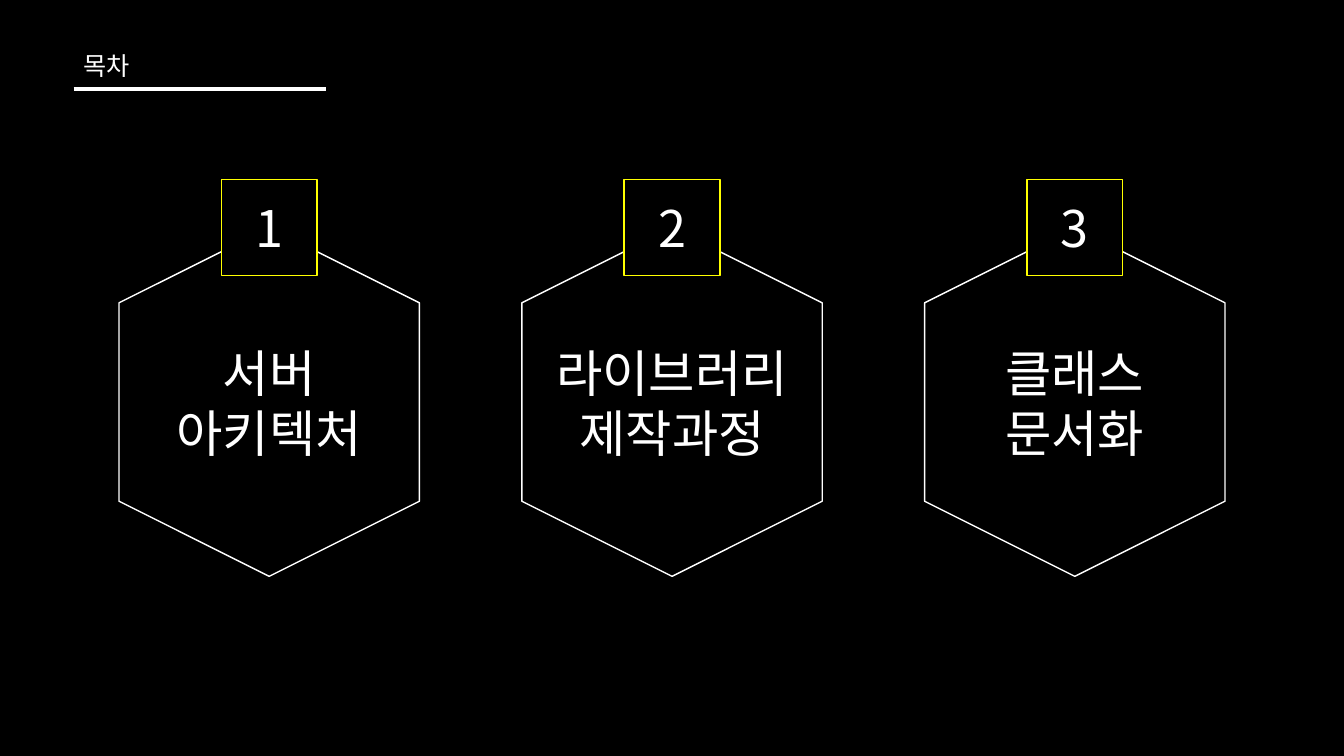
"""Builds the contents slide: a heading and three numbered hexagons."""
from lxml import etree
from pptx import Presentation
from pptx.dml.color import RGBColor
from pptx.enum.shapes import MSO_CONNECTOR, MSO_SHAPE
from pptx.enum.text import MSO_ANCHOR, PP_ALIGN
from pptx.oxml.ns import qn
from pptx.util import Pt

HEXAGON, SQUARE = MSO_SHAPE.HEXAGON, MSO_SHAPE.RECTANGLE
STRAIGHT = MSO_CONNECTOR.STRAIGHT
MIDDLE = MSO_ANCHOR.MIDDLE
LEFT, CENTER = PP_ALIGN.LEFT, PP_ALIGN.CENTER

COLORS = {"background": "000000", "foreground": "FFFFFF", "accent": "FFFF00"}
FONT = "Noto Sans CJK KR"
SLIDE_WIDTH, SLIDE_HEIGHT = 960, 540
CHAPTERS = [["서버", "아키텍처"], ["라이브러리", "제작과정"], ["클래스", "문서화"]]
CHAPTER_PITCH = 287.7
HEXAGON_LENGTH, HEXAGON_BREADTH = 249, 214.6
HEXAGON_MIDDLE = 287.2
BADGE_SIDE, BADGE_MIDDLE = 68.4, 162.4
TITLE_HEIGHT = 140.4
HEADING_LEFT, HEADING_TOP, HEADING_WIDTH, HEADING_HEIGHT = 52.6, 29.5, 180, 34.5
RULE_Y = 63.5


def color(name):
    """Return the named colour."""
    return RGBColor.from_string(COLORS[name])


def apply_format(target, values):
    """Set each attribute of target from a dict of format values."""
    for attribute, value in values.items():
        setattr(target, attribute, value)


def centered_box(center_x, center_y, width, height):
    """Return left, top, width and height of a box around a center."""
    return [Pt(v) for v in (center_x - width / 2, center_y - height / 2, width, height)]


def write_lines(frame, lines, size, alignment):
    """Write one paragraph per line, anchored in the middle."""
    apply_format(frame, {"word_wrap": True, "vertical_anchor": MIDDLE})
    for index, line in enumerate(lines):
        paragraph = frame.add_paragraph() if index else frame.paragraphs[0]
        paragraph.alignment = alignment
        run = paragraph.add_run()
        run.text = line
        apply_format(run.font, {"name": FONT, "size": Pt(size)})
        run.font.color.rgb = color("foreground")
        properties = run.font._element
        etree.SubElement(properties, qn("a:ea")).set("typeface", FONT)


def add_outline(slide, preset, box, line_color):
    """Add a shape with a thin outline and no fill."""
    outline = slide.shapes.add_shape(preset, *box)
    outline.shadow.inherit = False
    outline.fill.background()
    outline.line.color.rgb = color(line_color)
    outline.line.width = Pt(1)
    return outline


def add_hexagon(slide, center_x):
    """Add an upright hexagon."""
    box = centered_box(center_x, HEXAGON_MIDDLE, HEXAGON_LENGTH, HEXAGON_BREADTH)
    add_outline(slide, HEXAGON, box, "foreground").rotation = 90


def add_badge(slide, center_x, number):
    """Add the numbered square over a hexagon's top corner."""
    box = centered_box(center_x, BADGE_MIDDLE, BADGE_SIDE, BADGE_SIDE)
    badge = add_outline(slide, SQUARE, box, "accent")
    badge.fill.solid()
    badge.fill.fore_color.rgb = color("background")
    write_lines(badge.text_frame, [str(number)], 36, CENTER)


def add_text(slide, box, lines, size, alignment):
    """Add a text box."""
    write_lines(slide.shapes.add_textbox(*box).text_frame, lines, size, alignment)


def add_rule(slide):
    """Add the thick line under the heading."""
    start, end, y = Pt(HEADING_LEFT), Pt(HEADING_LEFT + HEADING_WIDTH), Pt(RULE_Y)
    rule = slide.shapes.add_connector(STRAIGHT, start, y, end, y)
    rule.line.color.rgb = color("foreground")
    rule.line.width = Pt(3)
    etree.SubElement(rule._element.spPr, qn("a:effectLst"))


def main():
    """Build and save the slide."""
    deck = Presentation()
    apply_format(deck, {"slide_width": Pt(SLIDE_WIDTH), "slide_height": Pt(SLIDE_HEIGHT)})
    slide = deck.slides.add_slide(deck.slide_layouts[6])
    slide.background.fill.solid()
    slide.background.fill.fore_color.rgb = color("background")

    centers = [SLIDE_WIDTH / 2 + (i - 1) * CHAPTER_PITCH for i in range(len(CHAPTERS))]
    for number, center_x in enumerate(centers, 1):
        add_hexagon(slide, center_x)
        add_badge(slide, center_x, number)
    for center_x, title in zip(centers, CHAPTERS):
        title_box = centered_box(center_x, HEXAGON_MIDDLE, HEXAGON_BREADTH, TITLE_HEIGHT)
        add_text(slide, title_box, title, 36, CENTER)

    heading_box = [Pt(v) for v in (HEADING_LEFT, HEADING_TOP, HEADING_WIDTH, HEADING_HEIGHT)]
    add_text(slide, heading_box, ["목차"], 18, LEFT)
    add_rule(slide)
    deck.save("out.pptx")


main()
